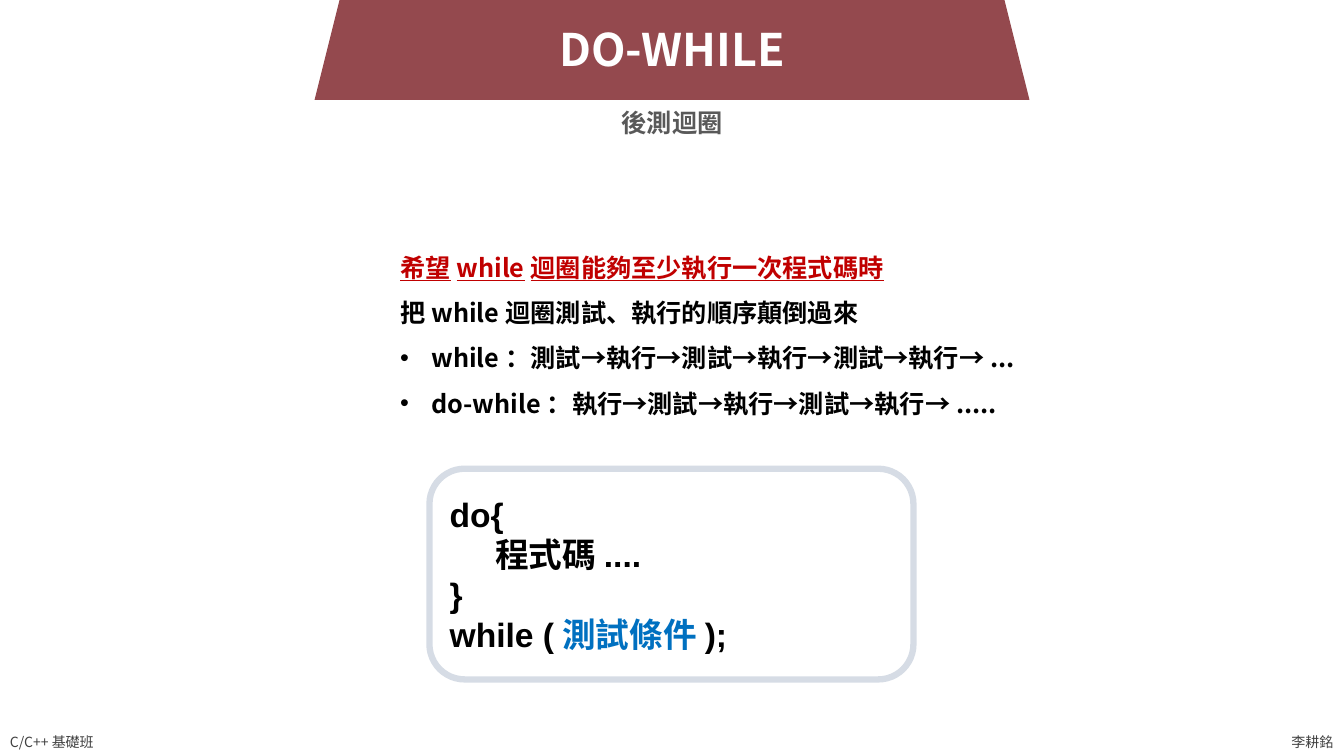
"""Build the do-while loop slide."""
from dataclasses import dataclass

from lxml.etree import SubElement
from pptx import Presentation
from pptx.dml.color import RGBColor
from pptx.enum.shapes import MSO_SHAPE as SHAPE
from pptx.enum.text import MSO_ANCHOR as ANCHOR, MSO_AUTO_SIZE as AUTO, PP_ALIGN as ALIGN
from pptx.oxml.ns import qn
from pptx.util import Pt

PX = 9144


@dataclass(frozen=True)
class Theme:
    banner: str = "94494E"
    white: str = "FFFFFF"
    black: str = "000000"
    footer: str = "404040"
    subtitle: str = "595959"
    accent: str = "C00000"
    condition: str = "0070C0"
    border: str = "D6DCE5"
    title_size: int = 32
    code_size: int = 24
    body_size: int = 18
    footer_size: int = 10
    border_width: float = 4.5
    sans: str = "Noto Sans CJK TC"
    code: str = "Arial"


T = Theme()


@dataclass(frozen=True)
class Run:
    text: str
    color: str = T.black
    size: int = T.body_size
    font: str = T.sans
    bold: bool = True
    underline: bool = False


@dataclass(frozen=True)
class Para:
    runs: tuple[Run, ...]
    align: ALIGN = ALIGN.LEFT
    spacing: float = 1.0
    margin: int = 0
    bullet: bool = False


@dataclass(frozen=True)
class Box:
    left: int
    top: int
    width: int
    height: int

    def emu(self) -> tuple[int, ...]:
        return tuple(v * PX for v in (self.left, self.top, self.width, self.height))


@dataclass(frozen=True)
class Label:
    box: Box
    paras: tuple[Para, ...]
    wrap: bool = True
    anchor: ANCHOR = ANCHOR.TOP


def code(text: str, color: str = T.black) -> Run:
    """Return a run in the code style."""
    return Run(text, color, T.code_size, T.code)


def body(text: str, color: str = T.black, underline: bool = False, bullet: bool = False) -> Para:
    """Return a paragraph of the explanation."""
    return Para((Run(text, color, underline=underline),), spacing=1.5,
                margin=31 if bullet else 0, bullet=bullet)


def footer(text: str) -> tuple[Para, ...]:
    """Return the text of a footer label."""
    return (Para((Run(text, T.footer, T.footer_size, bold=False),)),)


LABELS = (
    Label(Box(539, 17, 255, 64),
          (Para((Run("DO-WHILE", T.white, T.title_size),), ALIGN.CENTER),), wrap=False),
    Label(Box(0, 723, 107, 27), footer("C/C++基礎班"), wrap=False),
    Label(Box(1271, 723, 62, 27), footer("李耕銘"), wrap=False, anchor=ANCHOR.MIDDLE),
    Label(Box(387, 230, 667, 186), (
        body("希望while迴圈能夠至少執行一次程式碼時", T.accent, underline=True),
        body("把while迴圈測試、執行的順序顛倒過來"),
        body("while：測試→執行→測試→執行→測試→執行→...", bullet=True),
        body("do-while：執行→測試→執行→測試→執行→.....", bullet=True),
    )),
    Label(Box(584, 102, 165, 40), (Para((Run("後測迴圈", T.subtitle),), ALIGN.CENTER),)),
)

CODE = (
    Para((code("do{"),)),
    Para((code("程式碼...."),), margin=45),
    Para((code("}"),)),
    Para((code("while ("), code("測試條件", T.condition), code(");"))),
)


def rgb(color: str) -> RGBColor:
    """Convert a hex string to a colour."""
    return RGBColor.from_string(color)


def write(tf, paras: tuple[Para, ...]) -> None:
    """Fill a text frame with paragraphs, run by run."""
    for i, para in enumerate(paras):
        p = tf.add_paragraph() if i else tf.paragraphs[0]
        p.alignment = para.align
        p.line_spacing = para.spacing
        p_pr = p._p.get_or_add_pPr()
        p_pr.set("marL", str(para.margin * PX))
        if para.bullet:
            p_pr.set("indent", str(-para.margin * PX))
            SubElement(p_pr, qn("a:buFont"), typeface=T.code)
            SubElement(p_pr, qn("a:buChar"), char="•")
        for run in para.runs:
            r = p.add_run()
            r.text = run.text
            r.font.size = Pt(run.size)
            r.font.bold = run.bold
            r.font.underline = run.underline
            r.font.color.rgb = rgb(run.color)
            r.font.name = run.font
            SubElement(r._r.get_or_add_rPr(), qn("a:ea"), typeface=T.sans)


def add_panel(s, kind: SHAPE, box: Box, fill: str, border: str = ""):
    """Draw a filled shape with an optional border."""
    sp = s.shapes.add_shape(kind, *box.emu())
    sp.shadow.inherit = False
    sp.fill.solid()
    sp.fill.fore_color.rgb = rgb(fill)
    if border:
        sp.line.color.rgb = rgb(border)
        sp.line.width = Pt(T.border_width)
    else:
        sp.line.fill.background()
    return sp


def add_label(s, label: Label) -> None:
    """Draw a text box."""
    tf = s.shapes.add_textbox(*label.box.emu()).text_frame
    tf.word_wrap = label.wrap
    tf.auto_size = AUTO.SHAPE_TO_FIT_TEXT
    tf.vertical_anchor = label.anchor
    write(tf, label.paras)


def main() -> None:
    """Build and save the slide."""
    prs = Presentation()
    prs.slide_width, prs.slide_height = 1333 * PX, 750 * PX
    s = prs.slides.add_slide(prs.slide_layouts[6])
    add_panel(s, SHAPE.TRAPEZOID, Box(312, -23, 709, 122), T.banner)
    sp = add_panel(s, SHAPE.ROUNDED_RECTANGLE, Box(426, 465, 480, 209), T.white, T.border)
    sp.text_frame.word_wrap = True
    sp.text_frame.vertical_anchor = ANCHOR.MIDDLE
    write(sp.text_frame, CODE)
    for label in LABELS:
        add_label(s, label)
    prs.save("out.pptx")


if __name__ == "__main__":
    main()
